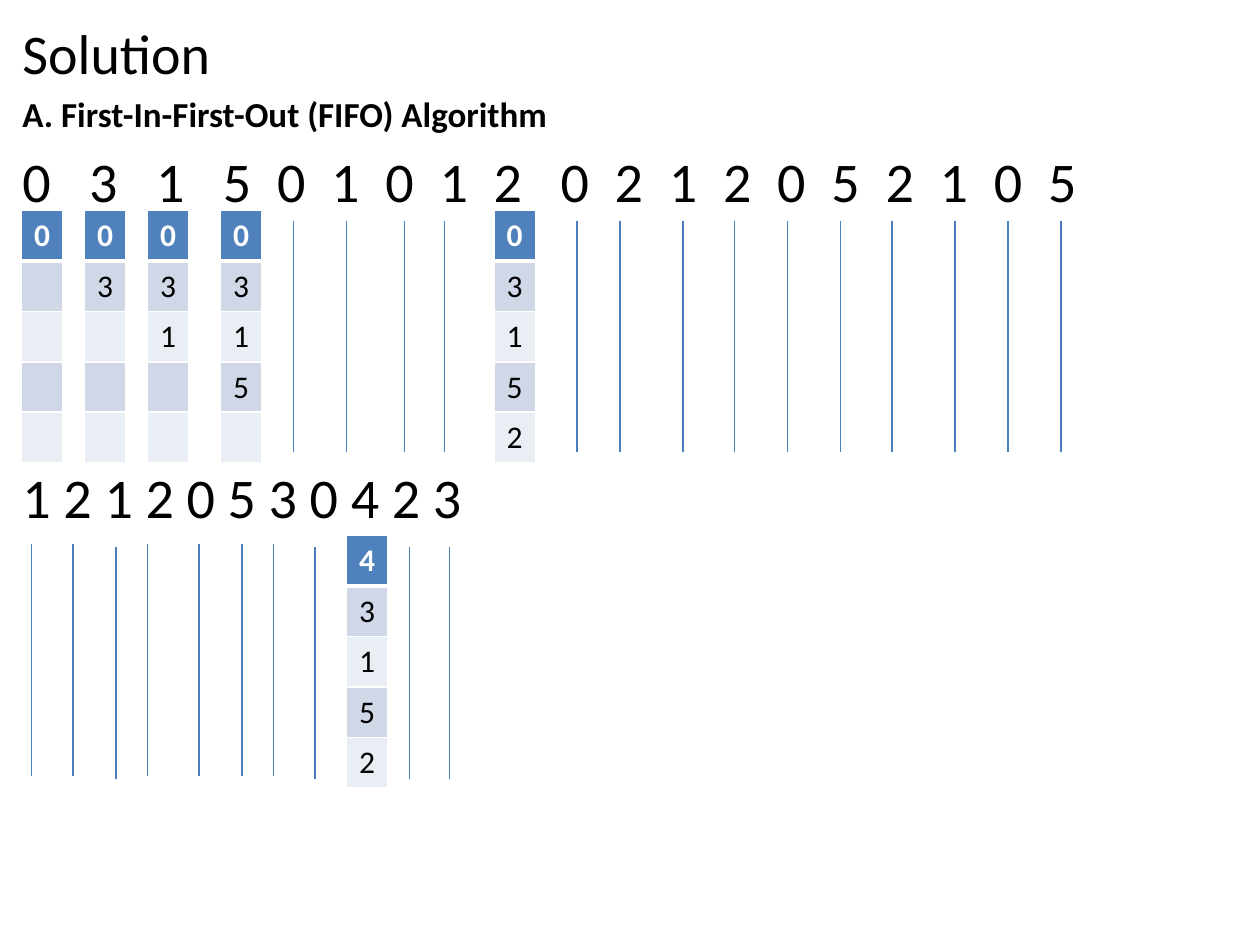
"""Build a slide that traces FIFO page replacement through two reference strings."""
from dataclasses import dataclass
from itertools import accumulate

from lxml.etree import SubElement
from pptx import Presentation
from pptx.dml.color import RGBColor
from pptx.enum.shapes import MSO_CONNECTOR
from pptx.oxml.ns import qn
from pptx.util import Inches, Pt


@dataclass(frozen=True)
class Theme:
    font: str = "Calibri"
    ink: str = "000000"
    white: str = "FFFFFF"
    header: str = "4F81BD"
    bands: tuple = ("E9EDF4", "D0D8E8")
    hit_line: str = "4B7EBC"
    title_size: int = 32
    subtitle_size: int = 20
    cell_size: int = 18


theme = Theme()


def style_text(paragraph, size, color=theme.ink, bold=False):
    for run in paragraph.runs:
        run.font.name = theme.font
        run.font.size = Pt(size)
        run.font.bold = bold
        run.font.color.rgb = RGBColor.from_string(color)


def add_border(cell, side, width):
    border = SubElement(cell._tc.get_or_add_tcPr(), qn(f"a:{side}"), w=str(Pt(width)))
    fill = SubElement(border, qn("a:solidFill"))
    SubElement(fill, qn("a:srgbClr"), val=theme.white)


presentation = Presentation()
presentation.slide_width = Inches(10)
presentation.slide_height = Inches(7.5)
slide = presentation.slides.add_slide(presentation.slide_layouts[6])

first_references = "0315010120212052105"
wide_gaps = (0, 1, 2, 8)
steps = [0.53 if i in wide_gaps else 0.43 for i in range(len(first_references) - 1)]

heading = slide.shapes.add_textbox(Inches(0.08), Inches(0.1), Inches(9.75), Inches(1.7)).text_frame
heading.word_wrap = True
heading.text = "\n".join(
    ["Solution", "A. First-In-First-Out (FIFO) Algorithm", "\t".join(first_references)]
)
title, subtitle, references = heading.paragraphs
tab_list = SubElement(references._p.get_or_add_pPr(), qn("a:tabLst"))
for position in accumulate(steps):
    SubElement(tab_list, qn("a:tab"), pos=str(Inches(position)), algn="l")
subtitle.space_before = Pt(4)
references.space_before = Pt(6.4)
style_text(title, theme.title_size)
style_text(subtitle, theme.subtitle_size, bold=True)
style_text(references, theme.title_size)

continuation = slide.shapes.add_textbox(Inches(0.08), Inches(3.62), Inches(9.75), Inches(0.64)).text_frame
continuation.word_wrap = True
continuation.text = "1 2 1 2 0 5 3 0 4 2 3"
style_text(continuation.paragraphs[0], theme.title_size)

frame_states = [
    (0.17, 1.67, "0"),
    (0.67, 1.67, "03"),
    (1.17, 1.67, "031"),
    (1.75, 1.67, "0315"),
    (3.92, 1.67, "03152"),
    (2.75, 4.25, "43152"),
]
frame_count = 5
for left, top, pages in frame_states:
    frames = slide.shapes.add_table(
        frame_count, 1, Inches(left), Inches(top), Inches(0.33), Inches(2)
    ).table
    for row, page in enumerate(pages.ljust(frame_count)):
        cell = frames.cell(row, 0)
        cell.text = page.strip()
        is_header = row == 0
        style_text(
            cell.text_frame.paragraphs[0],
            theme.cell_size,
            theme.white if is_header else theme.ink,
            is_header,
        )
        for side in ("lnL", "lnR", "lnT", "lnB"):
            heavy = (is_header and side == "lnB") or (row == 1 and side == "lnT")
            add_border(cell, side, 3 if heavy else 1)
        cell.fill.solid()
        cell.fill.fore_color.rgb = RGBColor.from_string(
            theme.header if is_header else theme.bands[row % 2]
        )

hit_rows = [
    (1.75, (2.33, 2.75, 3.21, 3.53, 4.58, 4.92, 5.42, 5.83, 6.25, 6.67, 7.08, 7.58, 8, 8.42)),
    (4.32, (0.25, 0.58, 1.17, 1.58, 1.92, 2.17)),
    (4.34, (0.92, 2.5, 3.25, 3.57)),
]
for top, positions in hit_rows:
    for x in positions:
        hit = slide.shapes.add_connector(
            MSO_CONNECTOR.STRAIGHT, Inches(x), Inches(top), Inches(x), Inches(top + 1.84)
        )
        hit.line.color.rgb = RGBColor.from_string(theme.hit_line)
        hit.line.width = Pt(0.75)
        SubElement(hit._element.spPr, qn("a:effectLst"))

presentation.save("out.pptx")
